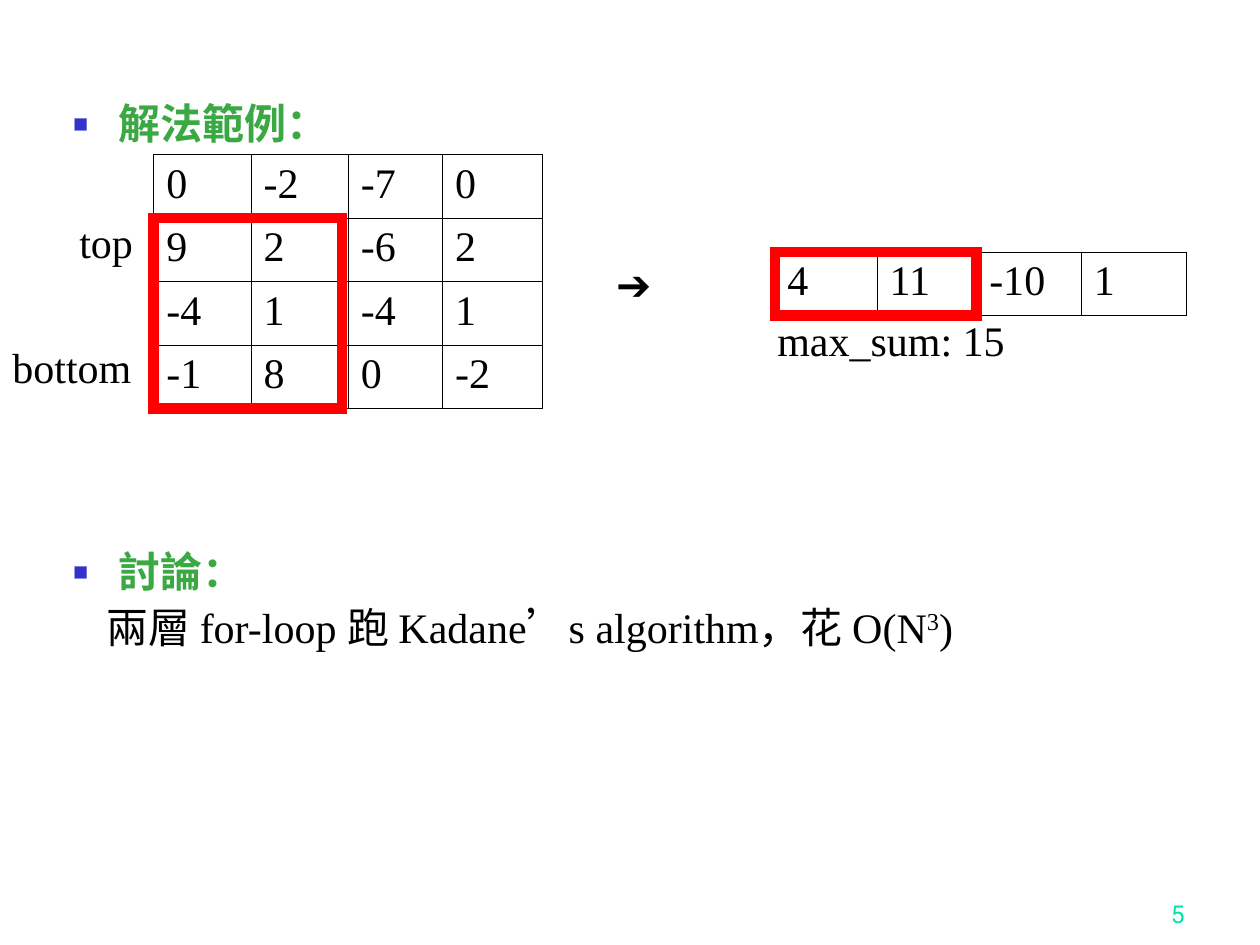
import dataclasses
import pptx
import pptx.dml.color
import pptx.enum.shapes
import pptx.enum.text
import pptx.oxml
import pptx.oxml.ns
import pptx.util

Cm = pptx.util.Cm
Pt = pptx.util.Pt
ALIGN = pptx.enum.text.PP_ALIGN
ANCHOR = pptx.enum.text.MSO_ANCHOR
NS = pptx.oxml.ns.nsdecls("a")


@dataclasses.dataclass(frozen=True)
class Theme:
    serif: str = "Times New Roman"
    sans: str = "Arial"
    foot: str = "Roboto"
    ink: str = "000000"
    head: str = "3BA943"
    mark: str = "3333CC"
    frame: str = "FF0000"
    page: str = "00E4A8"
    size: int = 24
    small: int = 14
    rule: float = 0.45
    thick: int = 6


THEME = Theme()


def rgb(code):
    return pptx.dml.color.RGBColor.from_string(code)


def style(font, face=THEME.serif, size=THEME.size, color=THEME.ink, bold=False):
    font.name = face
    font.size = Pt(size)
    font.bold = bold
    font.color.rgb = rgb(color)


def bullet(para, left, hang):
    """Give a paragraph a small square mark, hanging left of its text."""
    props = para._p.get_or_add_pPr()
    props.set("marL", str(Cm(left)))
    props.set("indent", str(-Cm(hang)))
    for tag in (f'<a:buClr {NS}><a:srgbClr val="{THEME.mark}"/></a:buClr>',
                f'<a:buSzPct {NS} val="60000"/>',
                f'<a:buFont {NS} typeface="{THEME.sans}"/>',
                f'<a:buChar {NS} char="■"/>'):
        props.append(pptx.oxml.parse_xml(tag))


def plain(para, left):
    """Indent a paragraph without a mark."""
    props = para._p.get_or_add_pPr()
    props.set("marL", str(Cm(left)))
    props.set("indent", "0")
    props.append(pptx.oxml.parse_xml(f"<a:buNone {NS}/>"))


def outline(body, x, y, w, h):
    """Headings and the closing remark, in the body placeholder."""
    body.left, body.top, body.width, body.height = map(Cm, (x, y, w, h))
    frame = body.text_frame
    frame.auto_size = pptx.enum.text.MSO_AUTO_SIZE.NONE
    frame.vertical_anchor = ANCHOR.TOP
    frame.text = "解法範例：\n討論：\n兩層 for-loop 跑 Kadane’s algorithm，花 O(N"
    first, second, last = frame.paragraphs
    for para, gap in ((first, 0), (second, 230), (last, 6)):
        para.line_spacing = 0.9
        para.space_before = Pt(gap)
    for para in (first, second):
        bullet(para, 1.19, 0.91)
        style(para.runs[0].font, color=THEME.head, bold=True)
    plain(last, 0.95)
    power = last.add_run()
    power.text = "3"
    last.add_run().text = ")"
    for run in last.runs:
        style(run.font)
    power._r.get_or_add_rPr().set("baseline", "30000")


def edge(cell):
    """Draw thin rules on the four sides of a cell."""
    props = cell._tc.get_or_add_tcPr()
    for i, side in enumerate(("lnL", "lnR", "lnT", "lnB")):
        props.insert(i, pptx.oxml.parse_xml(
            f'<a:{side} {NS} w="{Pt(THEME.rule)}"><a:solidFill>'
            f'<a:srgbClr val="{THEME.ink}"/></a:solidFill></a:{side}>'))


def grid(slide, x, y, wide, high, rows):
    """Table of numbers with the given column widths and row height."""
    table = slide.shapes.add_table(
        len(rows), len(wide), Cm(x), Cm(y),
        Cm(sum(wide)), Cm(high * len(rows))).table
    table.first_row = table.horz_banding = False
    for col, width in zip(table.columns, wide):
        col.width = Cm(width)
    for r, row in enumerate(rows):
        table.rows[r].height = Cm(high)
        for c, value in enumerate(row):
            cell = table.cell(r, c)
            cell.text = str(value)
            cell.fill.background()
            style(cell.text_frame.paragraphs[0].runs[0].font)
            edge(cell)


def ring(slide, x, y, w, h):
    """Thick frame around chosen cells."""
    box = slide.shapes.add_shape(
        pptx.enum.shapes.MSO_SHAPE.ROUNDED_RECTANGLE,
        Cm(x), Cm(y), Cm(w), Cm(h))
    box.adjustments[0] = 0
    box.shadow.inherit = False
    box.fill.background()
    box.line.color.rgb = rgb(THEME.frame)
    box.line.width = Pt(THEME.thick)
    box.line._get_or_add_ln().append(
        pptx.oxml.parse_xml(f'<a:miter {NS} lim="800000"/>'))


def label(slide, x, y, w, text, align=ALIGN.LEFT, anchor=ANCHOR.TOP, **look):
    """One line of text in a box."""
    frame = slide.shapes.add_textbox(Cm(x), Cm(y), Cm(w), Cm(1.27)).text_frame
    frame.word_wrap = True
    frame.vertical_anchor = anchor
    frame.text = text
    para = frame.paragraphs[0]
    para.alignment = align
    style(para.runs[0].font, **look)


def matrix(slide, x, y):
    """Left table with its chosen rows named and framed."""
    high = 1.28
    rows = ((0, -2, -7, 0), (9, 2, -6, 2), (-4, 1, -4, 1), (-1, 8, 0, -2))
    grid(slide, x, y, (1.96, 1.96, 1.9, 2.01), high, rows)
    label(slide, x - 1.75, y + 1.12, 1.65, "top")
    label(slide, x - 3.1, y + 3.64, 3.15, "bottom")
    ring(slide, x, y + high, 3.8, 3 * high)


def total(slide, x, y):
    """Right table of column sums with the best range framed."""
    wide, high = (2.06, 2.01, 2.11, 2.11), 1.28
    grid(slide, x, y, wide, high, ((4, 11, -10, 1),))
    label(slide, x - 0.2, y + 1.14, 5.84, "max_sum: 15")
    ring(slide, x, y, sum(wide[:2]), high)


def main():
    deck = pptx.Presentation()
    deck.slide_width, deck.slide_height = Cm(25.4), Cm(19.05)
    slide = deck.slides.add_slide(deck.slide_layouts[1])
    title = slide.shapes.title.element
    title.getparent().remove(title)

    outline(slide.placeholders[1], 0.94, 1.96, 22.43, 15.6)
    matrix(slide, 3.1, 3.12)
    label(slide, 12.17, 5.08, 1.6, "➔", face=THEME.sans)
    total(slide, 15.62, 5.08)
    label(slide, 18.85, 17.58, 5.28, "5", ALIGN.RIGHT, ANCHOR.BOTTOM,
          face=THEME.foot, size=THEME.small, color=THEME.page)
    deck.save("out.pptx")


if __name__ == "__main__":
    main()
